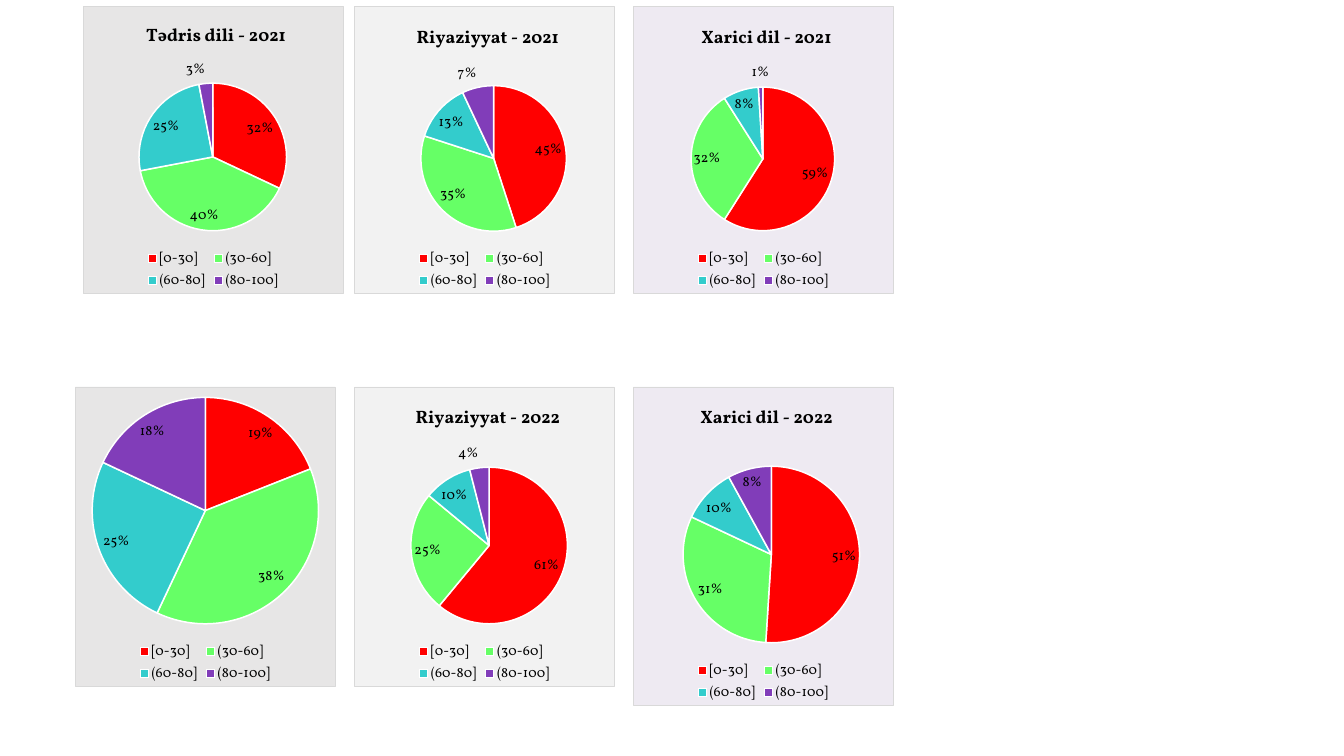
import pptx
import pptx.chart.data
import pptx.dml.color
import pptx.enum.chart
import pptx.oxml
import pptx.oxml.ns
import pptx.util

Pt = pptx.util.Pt
FONT = "Vollkorn"
SCORE_RANGES = ["[0-30]", "(30-60]", "(60-80]", "(80-100]"]
SCORE_COLOURS = ["FF0000", "66FF66", "33CCCC", "813DB9"]
COLUMN_FILLS = ["E7E6E6", "F2F2F2", "EEEAF2"]
NAMESPACES = pptx.oxml.ns.nsdecls("c", "a")
PANEL_WIDTH = 260.6

# (title, title offset, shares, panel left and height, pie centre and diameter)
ROWS = [
    (6.5, 287.3, [
        ("Tədris dili - 2021", (60, 12), [32, 40, 25, 3], 82.8, 0, (130, 150.5, 148)),
        ("Riyaziyyat - 2021", (59, 14), [45, 35, 13, 7], 354.2, 0, (139.5, 152, 146)),
        ("Xarici dil - 2021", (65, 14), [59, 32, 8, 1], 632.9, 0, (130, 152.5, 144)),
    ]),
    (386.6, 300, [
        (None, None, [19, 38, 25, 18], 74.9, 0, (130.5, 124, 227)),
        ("Riyaziyyat - 2022", (58, 14), [61, 25, 10, 4], 354.2, 0, (135, 159, 157)),
        ("Xarici dil - 2022", (64, 14), [51, 31, 10, 8], 632.9, 19, (138.5, 168, 177)),
    ]),
]


def colour(hex_string):
    """Turn a hex string into a colour."""
    return pptx.dml.color.RGBColor.from_string(hex_string)


def format_font(font, size, bold=False):
    """Set the face, size, weight and colour of a font."""
    font.name, font.size, font.bold = FONT, Pt(size), bold
    font.color.rgb = colour("000000")


def write(text_frame, text, **style):
    """Put formatted text into a text frame."""
    paragraph = text_frame.paragraphs[0]
    run = paragraph.add_run()
    run.text = text
    format_font(run.font, **style)


def place(element, index, panel_size, offset, extent=None):
    """Give a chart part a fixed layout inside its panel."""
    for layout in element.findall(pptx.oxml.ns.qn("c:layout")):
        element.remove(layout)
    fractions = dict(zip("xy", (o / p for o, p in zip(offset, panel_size))))
    if extent:
        fractions.update(zip("wh", (e / p for e, p in zip(extent, panel_size))))
    target = '<c:layoutTarget val="inner"/>' if extent else ""
    modes = '<c:xMode val="edge"/><c:yMode val="edge"/>'
    values = "".join(f'<c:{key} val="{value:.4f}"/>' for key, value in fractions.items())
    element.insert(index, pptx.oxml.parse_xml(
        f"<c:layout {NAMESPACES}><c:manualLayout>{target}{modes}{values}"
        "</c:manualLayout></c:layout>"))


def fill_panel(chart, fill):
    """Give the chart area a fill and a thin grey border."""
    chart_element = chart.element.find(pptx.oxml.ns.qn("c:chart"))
    chart_element.addnext(pptx.oxml.parse_xml(
        f'<c:spPr {NAMESPACES}><a:solidFill><a:srgbClr val="{fill}"/></a:solidFill>'
        f'<a:ln w="{Pt(0.75)}"><a:solidFill><a:srgbClr val="D9D9D9"/></a:solidFill></a:ln>'
        "</c:spPr>"))


def add_score_pie(slide, box, fill, title, title_offset, shares, pie):
    """Draw one subject's score distribution in the given box."""
    data = pptx.chart.data.CategoryChartData()
    data.categories = SCORE_RANGES
    data.add_series("Series 1", shares)
    chart = slide.shapes.add_chart(
        pptx.enum.chart.XL_CHART_TYPE.PIE, *map(Pt, box), data).chart
    format_font(chart.font, 10)
    fill_panel(chart, fill)
    panel_size = box[2:]

    chart.has_title = title is not None
    if title:
        write(chart.chart_title.text_frame, title, size=18, bold=True)
        title_element = chart.element.find(".//" + pptx.oxml.ns.qn("c:title"))
        place(title_element, 1, panel_size, title_offset)

    center_x, center_y, diameter = pie
    plot_element = chart.element.find(".//" + pptx.oxml.ns.qn("c:plotArea"))
    place(plot_element, 0, panel_size,
          (center_x - diameter / 2, center_y - diameter / 2), (diameter, diameter))

    chart.has_legend = True
    chart.legend.position = pptx.enum.chart.XL_LEGEND_POSITION.BOTTOM
    chart.legend.include_in_layout = False
    format_font(chart.legend.font, 14)

    plot = chart.plots[0]
    plot.vary_by_categories = True
    for index, slice_colour in enumerate(SCORE_COLOURS):
        slice_format = plot.series[0].points[index].format
        slice_format.fill.solid()
        slice_format.fill.fore_color.rgb = colour(slice_colour)
        slice_format.line.color.rgb = colour("FFFFFF")
        slice_format.line.width = Pt(1.5)

    labels = plot.series[0].data_labels
    labels.show_percentage, labels.show_value = True, False
    labels.number_format, labels.number_format_is_linked = "0%", False
    labels.position = pptx.enum.chart.XL_LABEL_POSITION.BEST_FIT
    format_font(labels.font, 14)


def add_year_row(slide, top, height, subjects):
    """Place the pies of one year side by side."""
    for fill, subject in zip(COLUMN_FILLS, subjects):
        title, title_offset, shares, left, extra_height, pie = subject
        box = (left, top, PANEL_WIDTH, height + extra_height)
        add_score_pie(slide, box, fill, title, title_offset, shares, pie)


def main():
    """Build and save the slide."""
    presentation = pptx.Presentation()
    presentation.slide_width, presentation.slide_height = Pt(1344), Pt(756)
    slide = presentation.slides.add_slide(presentation.slide_layouts[6])
    for top, height, subjects in ROWS:
        add_year_row(slide, top, height, subjects)
    presentation.save("out.pptx")


if __name__ == "__main__":
    main()
